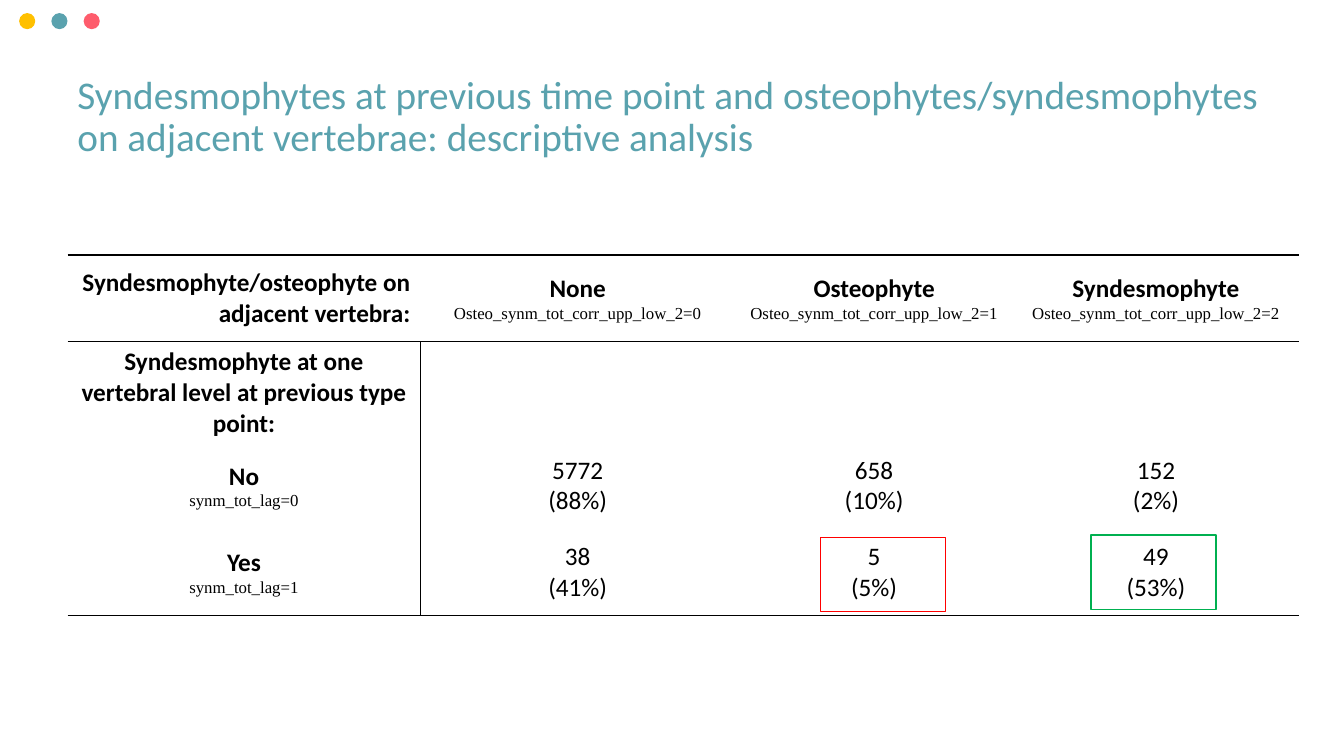
from lxml import etree
from pptx import Presentation
from pptx import util as u
from pptx.dml.color import RGBColor
from pptx.enum import shapes, text
from pptx.oxml import ns

COLORS = {
    "black": "000000",
    "amber": "FFC000",
    "teal": "5AA2AE",
    "coral": "FE5C6C",
    "red": "FF0000",
    "green": "00B050",
}
COLUMN_WIDTHS = [3.5, 3.12, 2.76, 2.83]
ROW_HEIGHTS = [0.86, 1.0, 0.86, 0.86]
VARIABLE = "Osteo_synm_tot_corr_upp_low_2="
ROWS = [
    [
        ["Syndesmophyte/osteophyte on adjacent vertebra:"],
        ["None", VARIABLE + "0"],
        ["Osteophyte", VARIABLE + "1"],
        ["Syndesmophyte", VARIABLE + "2"],
    ],
    [["Syndesmophyte at one vertebral level at previous type point:"], [], [], []],
    [["No", "synm_tot_lag=0"], ["5772", "(88%)"], ["658", "(10%)"], ["152", "(2%)"]],
    [["Yes", "synm_tot_lag=1"], ["38", "(41%)"], ["5", "(5%)"], ["49", "(53%)"]],
]


def rgb(name):
    return RGBColor.from_string(COLORS[name])


def add_run(paragraph, wording, size, color, bold=False, font="Calibri"):
    run = paragraph.add_run()
    run.text = wording
    run.font.name = font
    run.font.size = u.Pt(size)
    run.font.bold = bold
    run.font.color.rgb = rgb(color)


def set_borders(cell, drawn_sides):
    properties = cell._tc.get_or_add_tcPr()
    for side in "LRTB":
        line = etree.SubElement(properties, ns.qn(f"a:ln{side}"), w=str(u.Pt(1)))
        if side in drawn_sides:
            fill = etree.SubElement(line, ns.qn("a:solidFill"))
            etree.SubElement(fill, ns.qn("a:srgbClr"), val=COLORS["black"])
        else:
            etree.SubElement(line, ns.qn("a:noFill"))


def add_title(slide, left, top, width, height):
    title = slide.shapes.add_textbox(*map(u.Inches, (left, top, width, height)))
    frame = title.text_frame
    frame.word_wrap = True
    frame.vertical_anchor = text.MSO_ANCHOR.MIDDLE
    paragraph = frame.paragraphs[0]
    paragraph.line_spacing = 0.9
    add_run(
        paragraph,
        "Syndesmophytes at previous time point and osteophytes/syndesmophytes "
        "on adjacent vertebrae: descriptive analysis",
        28,
        "teal",
    )


def add_dots(slide, left, top, diameter, pitch):
    for index, color in enumerate(["amber", "teal", "coral"]):
        dot = slide.shapes.add_shape(
            shapes.MSO_SHAPE.OVAL,
            u.Inches(left + index * pitch),
            u.Inches(top),
            u.Inches(diameter),
            u.Inches(diameter),
        )
        dot.shadow.inherit = False
        dot.fill.solid()
        dot.fill.fore_color.rgb = rgb(color)
        dot.line.fill.background()


def fill_cell(cell, lines, row, column):
    heading = row == 0 or column == 0
    cell.vertical_anchor = text.MSO_ANCHOR.MIDDLE
    for index, wording in enumerate(lines):
        frame = cell.text_frame
        paragraph = frame.add_paragraph() if index else frame.paragraphs[0]
        corner = row == column == 0
        paragraph.alignment = text.PP_ALIGN.RIGHT if corner else text.PP_ALIGN.CENTER
        if heading and index:
            add_run(paragraph, wording, 12, "black", font="Times New Roman")
        else:
            add_run(paragraph, wording, 18, "black", bold=heading)

    sides = ""
    if row in (0, 1):
        sides += "T"
    if row in (0, len(ROWS) - 1):
        sides += "B"
    if row > 0 and column < 2:
        sides += "RL"[column]
    set_borders(cell, sides)
    cell.fill.background()


def add_counts_table(slide, left, top):
    frame = slide.shapes.add_table(
        len(ROWS),
        len(COLUMN_WIDTHS),
        u.Inches(left),
        u.Inches(top),
        u.Inches(sum(COLUMN_WIDTHS)),
        u.Inches(sum(ROW_HEIGHTS)),
    )
    table = frame.table
    table.first_row = False
    table.horz_banding = False
    for column, width in zip(table.columns, COLUMN_WIDTHS):
        column.width = u.Inches(width)
    for row, height in zip(table.rows, ROW_HEIGHTS):
        row.height = u.Inches(height)
    for row, cells in enumerate(ROWS):
        for column, lines in enumerate(cells):
            fill_cell(table.cell(row, column), lines, row, column)


def add_highlight(slide, left, top, width, height, color):
    highlight = slide.shapes.add_shape(
        shapes.MSO_SHAPE.RECTANGLE, *map(u.Inches, (left, top, width, height))
    )
    highlight.shadow.inherit = False
    highlight.fill.background()
    highlight.line.color.rgb = rgb(color)
    highlight.line.width = u.Pt(1)


def main():
    presentation = Presentation()
    presentation.slide_width = u.Inches(13.33)
    presentation.slide_height = u.Inches(7.5)
    slide = presentation.slides.add_slide(presentation.slide_layouts[6])
    add_title(slide, 0.67, 0.55, 11.93, 1.24)
    add_dots(slide, 0.19, 0.13, 0.16, 0.32)
    add_counts_table(slide, 0.67, 2.53)
    add_highlight(slide, 8.14, 5.33, 1.24, 0.74, "red")
    add_highlight(slide, 10.82, 5.31, 1.24, 0.74, "green")
    presentation.save("out.pptx")


if __name__ == "__main__":
    main()
